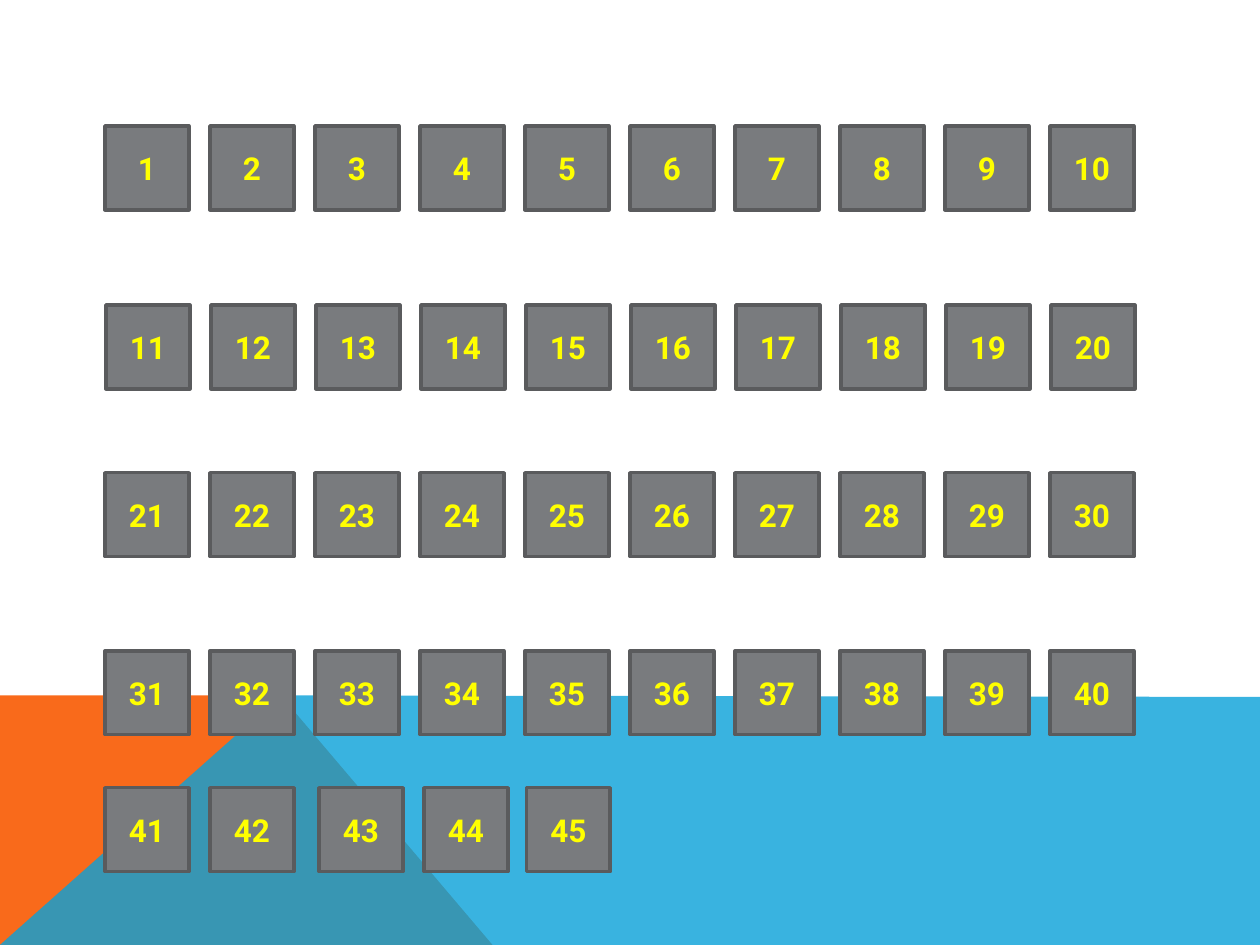
from lxml import etree
from pptx import Presentation, util as u
from pptx.dml.color import RGBColor
from pptx.enum import shapes, text
from pptx.oxml.ns import qn

ORANGE = RGBColor(0xF9, 0x6A, 0x1B)
BLUE = RGBColor(0x08, 0xA1, 0xD9)
GRAY = RGBColor(0x79, 0x7B, 0x7E)
DARK_GRAY = RGBColor(0x5A, 0x5B, 0x5D)
YELLOW = RGBColor(0xFF, 0xFF, 0x00)

WIDTH, HEIGHT = 25.4, 19.05
BANDS = [
    ([(0, HEIGHT), (0, 14.02), (5.66, 14.02), (9.93, HEIGHT)], ORANGE, 100),
    ([(0, HEIGHT), (5.66, 14.02), (WIDTH, 14.05), (WIDTH, HEIGHT)], BLUE, 80),
]
ROW_TOPS = [2.54, 6.15, 9.53, 13.12, 15.88]
NUDGES = {number: 0.02 for number in range(11, 21)}
NUDGES.update({43: 0.08, 44: 0.08, 45: 0.03})
BUTTON_COUNT = 45
COLUMNS = 10
PITCH = WIDTH / 12
BUTTON_SIZE = u.Cm(1.69)

presentation = Presentation()
presentation.slide_width = u.Cm(WIDTH)
presentation.slide_height = u.Cm(HEIGHT)
slide = presentation.slides.add_slide(presentation.slide_layouts[6])


def add_band(points, color, opacity):
    corners = [(u.Cm(x), u.Cm(y)) for x, y in points]
    builder = slide.shapes.build_freeform(*corners[0])
    builder.add_line_segments(corners[1:], close=True)
    shape = builder.convert_to_shape()
    shape.shadow.inherit = False
    shape.fill.solid()
    shape.fill.fore_color.rgb = color
    shape.line.fill.background()
    if opacity < 100:
        color_element = shape.fill._xPr.find(qn("a:solidFill"))[0]
        etree.SubElement(color_element, qn("a:alpha"), val=str(opacity * 1000))


def add_button(number):
    row, column = divmod(number - 1, COLUMNS)
    left = PITCH * (column + 1) + NUDGES.get(number, 0)
    shape = slide.shapes.add_shape(
        shapes.MSO_SHAPE.ACTION_BUTTON_CUSTOM,
        u.Cm(left), u.Cm(ROW_TOPS[row]), BUTTON_SIZE, BUTTON_SIZE)
    shape.shadow.inherit = False
    shape.fill.solid()
    shape.fill.fore_color.rgb = GRAY
    shape.line.color.rgb = DARK_GRAY
    shape.line.width = u.Pt(2)
    shape.text_frame.vertical_anchor = text.MSO_ANCHOR.MIDDLE
    paragraph = shape.text_frame.paragraphs[0]
    paragraph.alignment = text.PP_ALIGN.CENTER
    run = paragraph.add_run()
    run.text = str(number)
    run.font.name = "Roboto"
    run.font.size = u.Pt(18)
    run.font.bold = True
    run.font.color.rgb = YELLOW


for band in BANDS:
    add_band(*band)
for number in range(1, BUTTON_COUNT + 1):
    add_button(number)

presentation.save("out.pptx")
